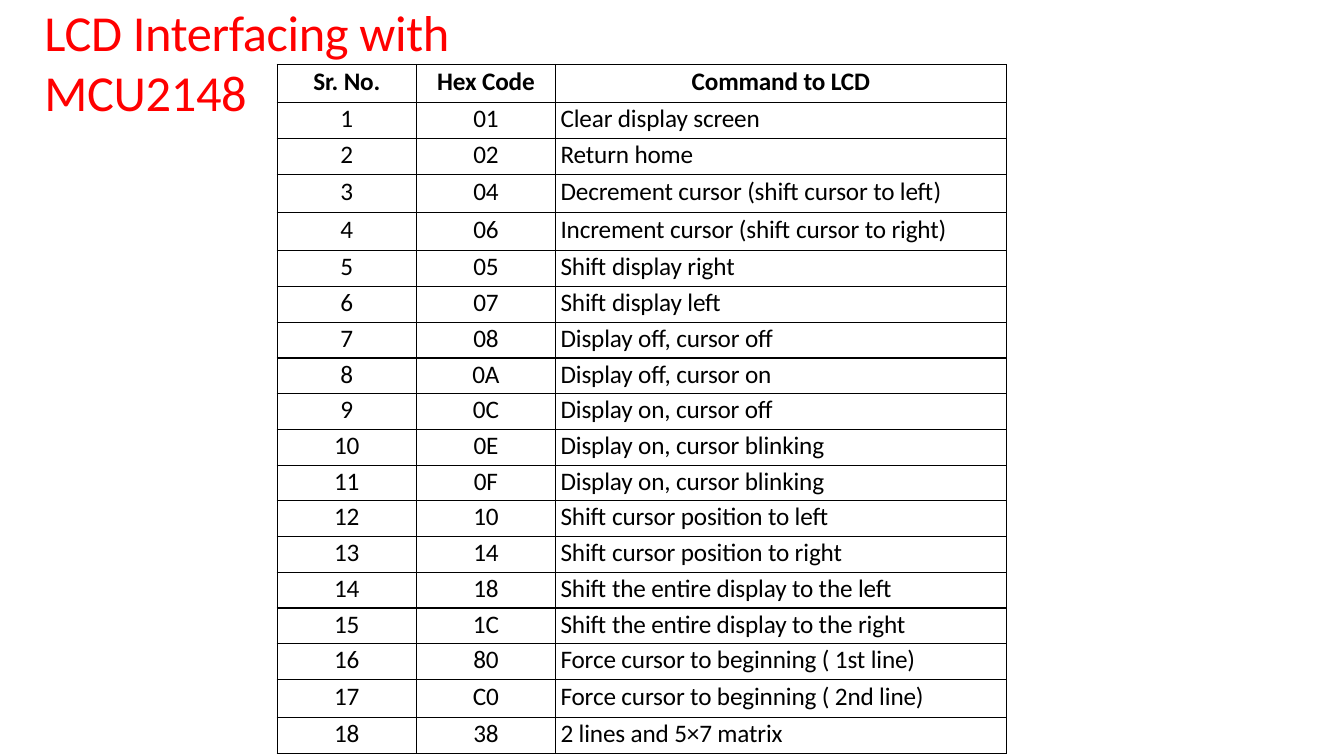
from lxml import etree
from pptx import Presentation
from pptx.dml.color import RGBColor
from pptx.enum.text import MSO_ANCHOR, PP_ALIGN
from pptx.oxml.ns import qn
from pptx.util import Inches, Pt


def write(tf, text, size=18, color="000000", bold=False, align=PP_ALIGN.LEFT,
          before=0.8, top=0.01, left=0, spc=-10):
    tf.margin_left = Inches(left)
    tf.margin_top = Inches(top)
    tf.margin_right = tf.margin_bottom = 0
    tf.vertical_anchor = MSO_ANCHOR.TOP
    tf.word_wrap = True
    p = tf.paragraphs[0]
    p.alignment = align
    p.space_before = Pt(before)
    r = p.add_run()
    r.text = text
    r.font.name = "Calibri"
    r.font.size = Pt(size)
    r.font.bold = bold
    r.font.color.rgb = RGBColor.from_string(color)
    r.font._element.set("spc", str(spc))


def add_borders(cell, color="000000", width=1):
    tcPr = cell._tc.get_or_add_tcPr()
    for i, side in enumerate(("a:lnL", "a:lnR", "a:lnT", "a:lnB")):
        ln = etree.Element(qn(side), w=str(Pt(width)))
        fill = etree.SubElement(ln, qn("a:solidFill"))
        etree.SubElement(fill, qn("a:srgbClr"), val=color)
        tcPr.insert(i, ln)


commands = [
    ("01", "Clear display screen"),
    ("02", "Return home"),
    ("04", "Decrement cursor (shift cursor to left)"),
    ("06", "Increment cursor (shift cursor to right)"),
    ("05", "Shift display right"),
    ("07", "Shift display left"),
    ("08", "Display off, cursor off"),
    ("0A", "Display off, cursor on"),
    ("0C", "Display on, cursor off"),
    ("0E", "Display on, cursor blinking"),
    ("0F", "Display on, cursor blinking"),
    ("10", "Shift cursor position to left"),
    ("14", "Shift cursor position to right"),
    ("18", "Shift the entire display to the left"),
    ("1C", "Shift the entire display to the right"),
    ("80", "Force cursor to beginning ( 1st line)"),
    ("C0", "Force cursor to beginning ( 2nd line)"),
    ("38", "2 lines and 5×7 matrix"),
]
rows = [("Sr. No.", "Hex Code", "Command to LCD")]
rows += [(str(n), code, command) for n, (code, command) in enumerate(commands, 1)]
widths = [1.38, 1.38, 4.47]
table_height = 6.84
tall_rows = (0, 3, 4, 17)
tall = 0.38
short = (table_height - tall * len(tall_rows)) / (len(rows) - len(tall_rows))

prs = Presentation()
prs.slide_width = Inches(13.33)
prs.slide_height = Inches(7.5)
slide = prs.slides.add_slide(prs.slide_layouts[6])

title = slide.shapes.add_textbox(Inches(0.44), 0, Inches(5.82), Inches(0.63))
write(title.text_frame, "LCD Interfacing with MCU2148", size=36,
      color="FF0000", before=1, spc=-25)

table = slide.shapes.add_table(len(rows), len(widths), Inches(2.75), Inches(0.64),
                               Inches(sum(widths)), Inches(table_height)).table
table.first_row = table.horz_banding = False
for column, width in zip(table.columns, widths):
    column.width = Inches(width)

for i, row in enumerate(rows):
    is_tall = i in tall_rows
    table.rows[i].height = Inches(tall if is_tall else short)
    for j, text in enumerate(row):
        cell = table.cell(i, j)
        is_command = i > 0 and j == 2
        cell.fill.background()
        cell.margin_left = Inches(0.05 if is_command else 0)
        cell.margin_right = cell.margin_bottom = 0
        cell.margin_top = Inches(0.02 if is_tall else 0.01)
        cell.vertical_anchor = MSO_ANCHOR.TOP
        write(cell.text_frame, text, bold=i == 0,
              align=PP_ALIGN.LEFT if is_command else PP_ALIGN.CENTER,
              before=1.6 if is_tall else 0.8,
              top=0.02 if is_tall else 0.01,
              left=0.05 if is_command else 0)
        body = cell.text_frame._txBody.find(qn("a:bodyPr"))
        body.attrib.clear()
        add_borders(cell)

prs.save("out.pptx")
